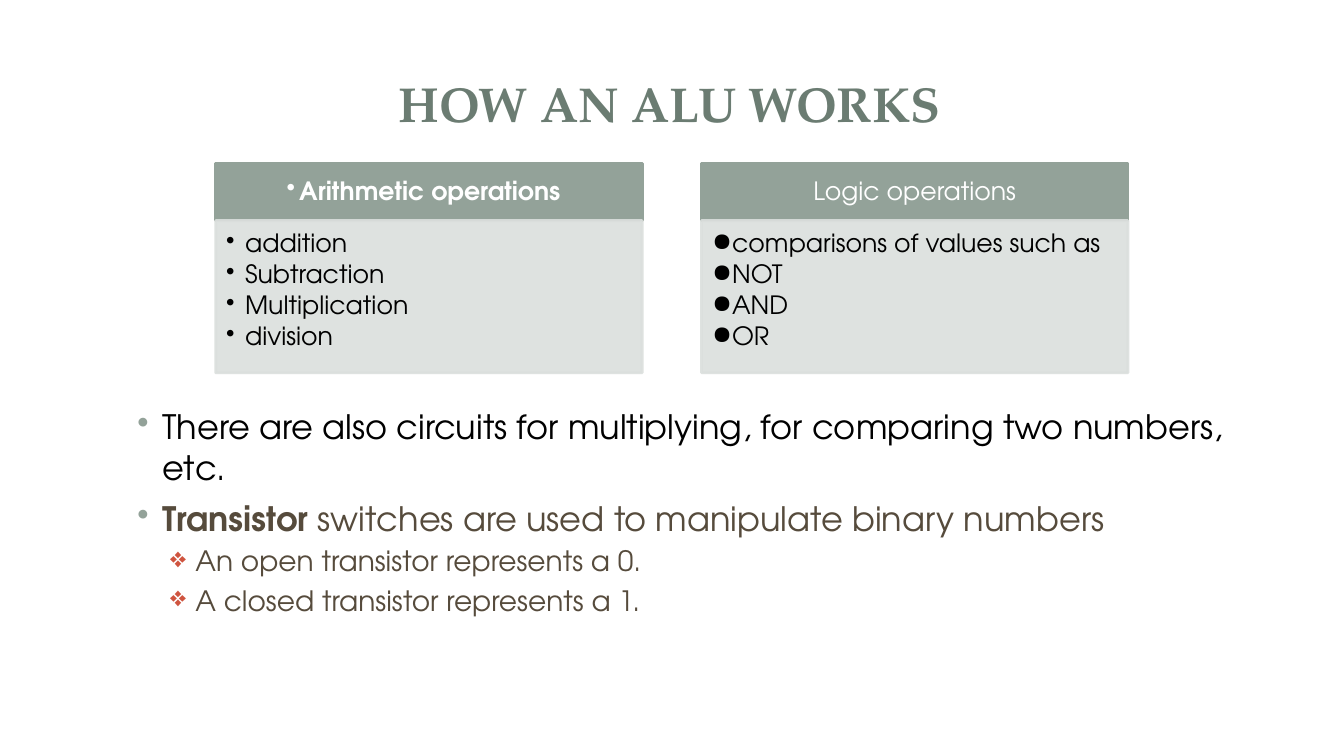
from lxml.etree import SubElement
from pptx import Presentation
from pptx.dml.color import RGBColor
from pptx.enum.shapes import MSO_SHAPE
from pptx.enum.text import MSO_ANCHOR, PP_ALIGN
from pptx.oxml.ns import qn
from pptx.util import Pt

SAGE = RGBColor(0x93, 0xA2, 0x99)
DARK_SAGE = RGBColor(0x6B, 0x7C, 0x72)
MIST = RGBColor(0xDB, 0xDF, 0xDD)
BROWN = RGBColor(0x56, 0x4B, 0x3C)
RED = RGBColor(0xCF, 0x54, 0x3F)
BLACK = RGBColor(0, 0, 0)
WHITE = RGBColor(255, 255, 255)
HEADING_FONT = "TeX Gyre Pagella"
BODY_FONT = "TeX Gyre Adventor"


def set_up_frame(frame, **settings):
    margins = {"margin_left": Pt(7.2), "margin_top": Pt(3.6),
               "margin_right": Pt(7.2), "margin_bottom": Pt(3.6)}
    for name, value in {"word_wrap": True, **margins, **settings}.items():
        setattr(frame, name, value)
    return frame


def write(frame, position, runs, size, color, font=BODY_FONT, bullet=None,
          left=0, hanging=0, **settings):
    paragraph = frame.paragraphs[0] if position == 0 else frame.add_paragraph()
    if bullet:
        symbol, bullet_color = bullet
        properties = paragraph._p.get_or_add_pPr()
        properties.set("marL", str(Pt(left)))
        properties.set("indent", str(Pt(-hanging)))
        tint = SubElement(properties, qn("a:buClr"))
        SubElement(tint, qn("a:srgbClr")).set("val", str(bullet_color))
        SubElement(properties, qn("a:buChar")).set("char", symbol)
    for name, value in settings.items():
        setattr(paragraph, name, value)
    for wording, bold in runs:
        run = paragraph.add_run()
        run.text = wording
        look = {"name": font, "size": Pt(size), "bold": bold}
        for name, value in look.items():
            setattr(run.font, name, value)
        run.font.color.rgb = color


deck = Presentation()
deck.slide_width, deck.slide_height = Pt(960), Pt(540)
slide = deck.slides.add_slide(deck.slide_layouts[6])

title = slide.shapes.add_textbox(Pt(44.6), Pt(32.4), Pt(867.6), Pt(82))
title_frame = set_up_frame(title.text_frame, vertical_anchor=MSO_ANCHOR.MIDDLE)
write(title_frame, 0, [("HOW AN ALU WORKS", True)], 35, DARK_SAGE,
      HEADING_FONT, alignment=PP_ALIGN.CENTER)

notes = [
    ([("There are also circuits for multiplying, for comparing two numbers, etc.", False)],
     24, BLACK, ("•", SAGE), 27, 0),
    ([("Transistor", True), (" switches are used to manipulate binary numbers", False)],
     24, BROWN, ("•", SAGE), 27, 8),
    ([("An open transistor represents a 0.", False)], 20, BROWN, ("❖", RED), 50.4, 4),
    ([("A closed transistor represents a 1.", False)], 20, BROWN, ("❖", RED), 50.4, 4),
]
explanation = slide.shapes.add_textbox(Pt(82.1), Pt(286.6), Pt(811.4), Pt(189.4))
explanation_frame = set_up_frame(explanation.text_frame)
for position, (runs, size, color, bullet, left, gap) in enumerate(notes):
    write(explanation_frame, position, runs, size, color, bullet=bullet,
          left=left, hanging=18, space_before=Pt(gap))

operations = [
    ("Arithmetic operations ", True, ("•", WHITE), "•",
     ["addition", "Subtraction", "Multiplication", "division"]),
    ("Logic operations", False, None, "●",
     ["comparisons of values such as", "NOT", "AND", "OR"]),
]
COLUMN_LEFT, COLUMN_STEP, COLUMN_WIDTH = 154.1, 347, 304.6
HEADER_TOP, HEADER_HEIGHT, LIST_HEIGHT = 116.6, 41, 108.7
for column, (heading, bold, heading_bullet, symbol, items) in enumerate(operations):
    left = COLUMN_LEFT + column * COLUMN_STEP
    header = slide.shapes.add_shape(MSO_SHAPE.RECTANGLE, Pt(left), Pt(HEADER_TOP),
                                    Pt(COLUMN_WIDTH), Pt(HEADER_HEIGHT))
    listing = slide.shapes.add_shape(MSO_SHAPE.RECTANGLE, Pt(left),
                                     Pt(HEADER_TOP + HEADER_HEIGHT),
                                     Pt(COLUMN_WIDTH), Pt(LIST_HEIGHT))
    for panel, color in ((header, SAGE), (listing, MIST)):
        panel.shadow.inherit = False
        panel.fill.solid()
        panel.fill.fore_color.rgb = color
        panel.line.color.rgb = color
        panel.line.width = Pt(2)
    for tint in list(listing._element.spPr.iter(qn("a:srgbClr"))):
        SubElement(tint, qn("a:alpha")).set("val", "90000")

    header_frame = set_up_frame(
        header.text_frame, vertical_anchor=MSO_ANCHOR.MIDDLE, margin_left=Pt(10),
        margin_top=Pt(5.8), margin_right=Pt(10), margin_bottom=Pt(5.8))
    write(header_frame, 0, [(heading, bold)], 18, WHITE, bullet=heading_bullet,
          hanging=9, alignment=PP_ALIGN.CENTER, line_spacing=0.9)

    listing_frame = set_up_frame(
        listing.text_frame, vertical_anchor=MSO_ANCHOR.TOP, margin_left=Pt(7.5),
        margin_top=Pt(7.5), margin_right=Pt(10), margin_bottom=Pt(11.3))
    for position, item in enumerate(items):
        write(listing_frame, position, [(item, False)], 18, BLACK,
              bullet=(symbol, BLACK), left=13.5, hanging=13.5,
              alignment=PP_ALIGN.LEFT, line_spacing=0.9,
              space_before=Pt(2.7 if position else 0))

deck.save("out.pptx")
